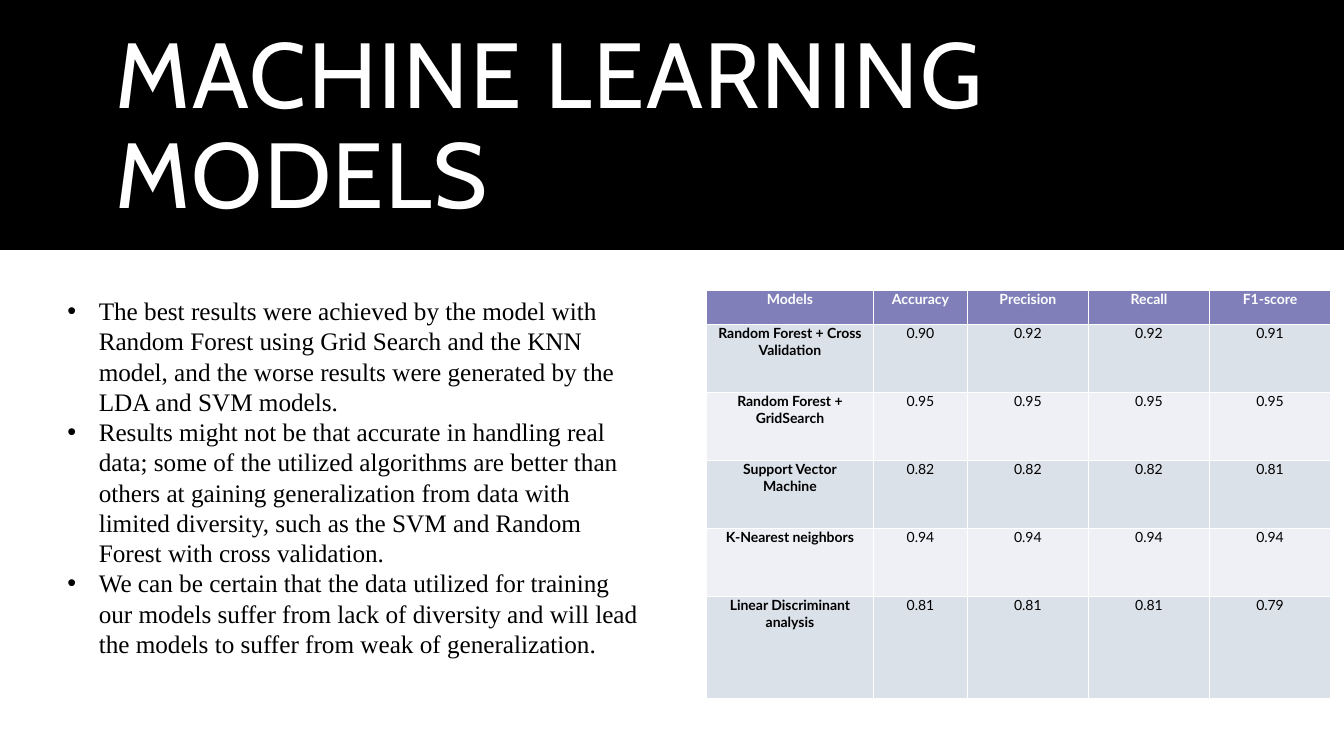
from lxml import etree
from pptx import Presentation
from pptx.dml.color import RGBColor
from pptx.enum.shapes import MSO_SHAPE
from pptx.enum.text import MSO_ANCHOR as ANCHOR, PP_ALIGN as ALIGN
from pptx.oxml.ns import qn
from pptx.util import Pt

BLACK, WHITE = "000000", "FFFFFF"
HEADER_FILL, BAND_FILLS = "807FBA", ("DBE1E9", "EEF0F5")

BULLETS = [
    "The best results were achieved by the model with Random Forest using Grid "
    "Search and the KNN model, and the worse results were generated by the LDA "
    "and SVM models.",
    "Results might not be that accurate in handling real data; some of the "
    "utilized algorithms are better than others at gaining generalization from "
    "data with limited diversity, such as the SVM and Random Forest with cross "
    "validation.",
    "We can be certain that the data utilized for training our models suffer "
    "from lack of diversity and will lead the models to suffer from weak of "
    "generalization.",
]
SCORES = [
    ("Models", "Accuracy", "Precision", "Recall", "F1-score"),
    ("Random Forest + Cross Validation", "0.90", "0.92", "0.92", "0.91"),
    ("Random Forest + GridSearch", "0.95", "0.95", "0.95", "0.95"),
    ("Support Vector\vMachine", "0.82", "0.82", "0.82", "0.81"),
    ("K-Nearest neighbors", "0.94", "0.94", "0.94", "0.94"),
    ("Linear Discriminant analysis", "0.81", "0.81", "0.81", "0.79"),
]
COL_WIDTHS = (119.5, 67, 86.5, 86.5, 86.5)
ROW_UNIT = 24.3
ROW_HEIGHTS = [ROW_UNIT * n for n in (1, 2, 2, 2, 2, 3)]


def rgb(color):
    return RGBColor.from_string(color)


class SlideBuilder:
    title_font = {"name": "Cabin", "size": Pt(66)}
    body_font = {"name": "Times New Roman", "size": Pt(18)}
    table_font = {"name": "Lato", "size": Pt(10)}

    def __init__(self, slide):
        self.slide = slide

    def fill_paragraph(self, p, text, color, font, para):
        """Fill a paragraph with text in the given run and paragraph formats."""
        p.text = text
        for name, value in para.items():
            setattr(p, name, value)
        for r in p.runs:
            for name, value in font.items():
                setattr(r.font, name, value)
            r.font.color.rgb = rgb(color)

    def band(self, x, y, w, h, color):
        sp = self.slide.shapes.add_shape(MSO_SHAPE.RECTANGLE, Pt(x), Pt(y), Pt(w), Pt(h))
        sp.shadow.inherit = False
        sp.fill.solid()
        sp.fill.fore_color.rgb = rgb(color)
        sp.line.fill.background()

    def text_frame(self, x, y, w, h):
        tf = self.slide.shapes.add_textbox(Pt(x), Pt(y), Pt(w), Pt(h)).text_frame
        tf.word_wrap = True
        return tf

    def title(self, x, y, w, h, text):
        tf = self.text_frame(x, y, w, h)
        tf.vertical_anchor = ANCHOR.MIDDLE
        p = tf.paragraphs[0]
        self.fill_paragraph(p, text, WHITE, self.title_font, {"line_spacing": 0.9})
        p.runs[0]._r.get_or_add_rPr().set("spc", "120")

    def bullets(self, x, y, w, h, items, indent=22.5):
        tf = self.text_frame(x, y, w, h)
        for i, item in enumerate(items):
            p = tf.add_paragraph() if i else tf.paragraphs[0]
            pPr = p._p.get_or_add_pPr()
            pPr.set("marL", str(Pt(indent)))
            pPr.set("indent", str(-Pt(indent)))
            etree.SubElement(pPr, qn("a:buFont")).set("typeface", "Arial")
            etree.SubElement(pPr, qn("a:buChar")).set("char", "•")
            self.fill_paragraph(p, item, BLACK, self.body_font, {"line_spacing": Pt(21.6)})

    def table(self, x, y, rows, widths, heights):
        frame = self.slide.shapes.add_table(len(rows), len(widths), Pt(x), Pt(y),
                                            Pt(sum(widths)), Pt(sum(heights)))
        table = frame.table
        for column, width in zip(table.columns, widths):
            column.width = Pt(width)
        para = {"alignment": ALIGN.CENTER, "line_spacing": Pt(12)}
        margins = {"margin_left": Pt(5), "margin_right": Pt(5),
                   "margin_top": 0, "margin_bottom": 0}
        for i, (row, height) in enumerate(zip(rows, heights)):
            table.rows[i].height = Pt(height)
            for j, text in enumerate(row):
                cell = table.cell(i, j)
                for name, value in margins.items():
                    setattr(cell, name, value)
                cell.fill.solid()
                cell.fill.fore_color.rgb = rgb(BAND_FILLS[(i - 1) % 2] if i else HEADER_FILL)
                font = {**self.table_font, "bold": i == 0 or j == 0}
                self.fill_paragraph(cell.text_frame.paragraphs[0], text,
                                    BLACK if i else WHITE, font, para)


def main():
    prs = Presentation()
    prs.slide_width, prs.slide_height = Pt(960), Pt(540)
    builder = SlideBuilder(prs.slides.add_slide(prs.slide_layouts[6]))
    builder.band(0, 0, 960, 178.5, BLACK)
    builder.title(75.5, 25, 808.5, 134, "MACHINE LEARNING MODELS")
    builder.table(504.5, 207.5, SCORES, COL_WIDTHS, ROW_HEIGHTS)
    builder.bullets(41, 207.5, 424, 312.5, BULLETS)
    prs.save("out.pptx")


if __name__ == "__main__":
    main()
